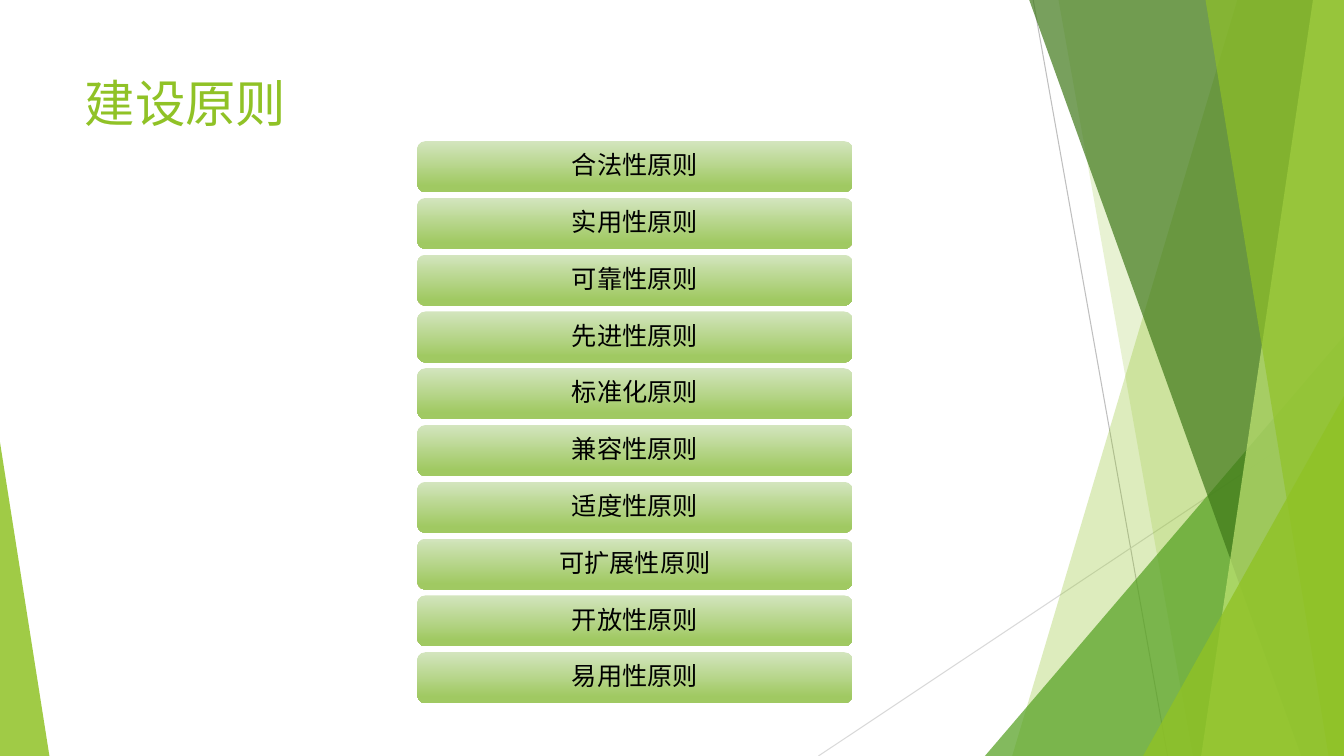
from lxml import etree
from pptx import Presentation
from pptx import util as u
from pptx.dml.color import RGBColor
from pptx.enum import shapes, text
from pptx.oxml.ns import qn

Pt = u.Pt
W, H, TOP = 960, 540, -0.6
FONT = "Karla"
C = {
    "lime": "90C226", "green": "54A021", "forest": "3F7819", "pale": "C0E474",
    "grey": "BFBFBF", "silver": "D9D9D9", "black": "000000",
    "bar_top": "D3E5BE", "bar_bottom": "A0C962",
}


def rgb(name):
    return RGBColor.from_string(C[name])


def write(tf, words, size=18, color="black", align=text.PP_ALIGN.LEFT,
          anchor=text.MSO_ANCHOR.MIDDLE, spacing=1.0):
    tf.word_wrap = True
    tf.vertical_anchor = anchor
    p = tf.paragraphs[0]
    p.alignment = align
    p.line_spacing = spacing
    r = p.add_run()
    r.text = words
    r.font.size = Pt(size)
    r.font.name = FONT
    r.font.color.rgb = rgb(color)
    ea = etree.SubElement(r.font._element, qn("a:ea"))
    ea.set("typeface", FONT)


class Deck:
    def __init__(self, prs):
        self.s = prs.slides.add_slide(prs.slide_layouts[5])

    def line(self, x1, y1, x2, y2, color):
        sp = self.s.shapes.add_connector(
            shapes.MSO_CONNECTOR.STRAIGHT, Pt(x1), Pt(y1), Pt(x2), Pt(y2))
        sp.line.color.rgb = rgb(color)
        sp.line.width = Pt(0.75)
        etree.SubElement(sp._element.spPr, qn("a:effectLst"))

    def tint(self, sp, color, opacity):
        sp.shadow.inherit = False
        sp.line.fill.background()
        sp.fill.solid()
        sp.fill.fore_color.rgb = rgb(color)
        clr = sp._element.spPr.find(qn("a:solidFill"))[0]
        etree.SubElement(clr, qn("a:alpha")).set("val", str(opacity * 1000))

    def band(self, top_x, bottom_x, color, opacity):
        fb = self.s.shapes.build_freeform(Pt(top_x), Pt(TOP))
        fb.add_line_segments(
            [(Pt(W), Pt(TOP)), (Pt(W), Pt(H)), (Pt(bottom_x), Pt(H))], close=True)
        self.tint(fb.convert_to_shape(), color, opacity)

    def triangle(self, x, y, w, apex, color, opacity):
        sp = self.s.shapes.add_shape(
            shapes.MSO_SHAPE.ISOSCELES_TRIANGLE, Pt(x), Pt(y), Pt(w), Pt(H - y))
        sp.adjustments[0] = apex
        self.tint(sp, color, opacity)

    def title(self, words, x, y, w, h):
        sp = self.s.shapes.title
        sp.left, sp.top, sp.width, sp.height = Pt(x), Pt(y), Pt(w), Pt(h)
        write(sp.text_frame, words, size=36, color="lime", anchor=text.MSO_ANCHOR.TOP)

    def bar(self, words, x, y, w, h):
        sp = self.s.shapes.add_shape(
            shapes.MSO_SHAPE.ROUNDED_RECTANGLE, Pt(x), Pt(y), Pt(w), Pt(h))
        sp.shadow.inherit = False
        sp.line.fill.background()
        sp.fill.gradient()
        sp.fill.gradient_angle = 270
        for stop, pos, name in zip(sp.fill.gradient_stops, (0, 0.88), ("bar_top", "bar_bottom")):
            stop.position = pos
            stop.color.rgb = rgb(name)
        write(sp.text_frame, words, align=text.PP_ALIGN.CENTER, spacing=0.9)


prs = Presentation()
prs.slide_width, prs.slide_height = Pt(W), Pt(H)
deck = Deck(prs)

deck.line(738, 0, 834, H, "grey")
deck.line(W, 290, 584.6, H, "silver")
deck.band(884, 723, "lime", 30)
deck.band(756, 852, "lime", 20)
deck.triangle(703.5, 240, 256.5, 1, "green", 72)
deck.band(735, 929.5, "forest", 70)
deck.band(938, 858, "pale", 70)
deck.band(861, 949, "lime", 65)
deck.triangle(816.5, 283, 143.5, 1, "lime", 80)
deck.triangle(0, 316, 35.3, 0, "lime", 85)

deck.title("建设原则", 53.3, 48, 677, 104)

principles = ["合法性", "实用性", "可靠性", "先进性", "标准化",
              "兼容性", "适度性", "可扩展性", "开放性", "易用性"]
for i, name in enumerate(principles):
    deck.bar(name + "原则", 298, 100.8 + i * 40.56, 311, 36.5)

prs.save("out.pptx")
